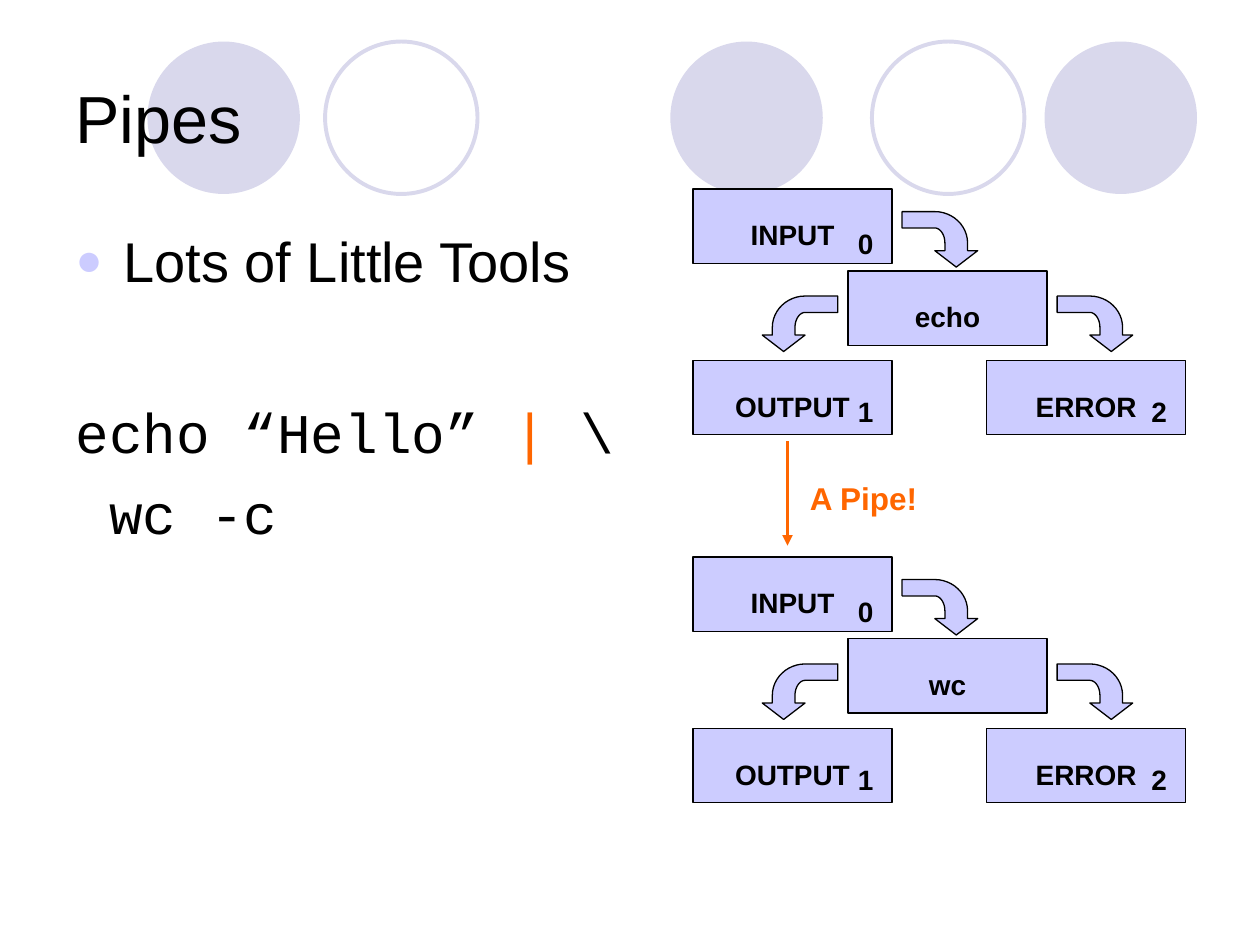
from dataclasses import dataclass

import lxml.etree
import pptx
import pptx.dml.color
import pptx.enum.shapes
import pptx.enum.text
import pptx.oxml
import pptx.oxml.ns
import pptx.util
from pptx.util import Inches

MSO_SHAPE = pptx.enum.shapes.MSO_SHAPE
PP_ALIGN = pptx.enum.text.PP_ALIGN
qn = pptx.oxml.ns.qn
LILAC, PALE, ORANGE, BLACK = "CCCCFF", "D9D8EC", "FF6600", "000000"
BOX_W, BOX_H = 1.58, 0.59
STAGE_STEP = 2.92


@dataclass
class Circle:
    x: float
    filled: bool


@dataclass
class Box:
    text: str
    x: float
    y: float
    number: str = ""
    number_dy: float = 0.22


@dataclass
class Bend:
    x: float
    y: float
    direction: int = 1


CIRCLES = [Circle(5.32, True), Circle(8.29, True), Circle(1.17, True),
           Circle(6.92, False), Circle(2.58, False)]
BENDS = [Bend(7.16, 1.68), Bend(8.39, 2.35), Bend(6.65, 2.35, -1)]


def rgb(color: str) -> pptx.dml.color.RGBColor:
    return pptx.dml.color.RGBColor.from_string(color)


def style(sp, fill: str | None, line: str | None, width: float = 0.75) -> None:
    sp.shadow.inherit = False
    if fill:
        sp.fill.solid()
        sp.fill.fore_color.rgb = rgb(fill)
    else:
        sp.fill.background()
    if line:
        sp.line.color.rgb = rgb(line)
        sp.line.width = pptx.util.Pt(width)
    else:
        sp.line.fill.background()


def set_font(font, size: float, color: str = BLACK, name: str = "Arial", bold: bool = False) -> None:
    font.name = name
    font.size = pptx.util.Pt(size)
    font.bold = bold
    font.color.rgb = rgb(color)


def add_circle(s, circle: Circle) -> None:
    sp = s.shapes.add_shape(MSO_SHAPE.OVAL, Inches(circle.x), Inches(0.33), Inches(1.21), Inches(1.21))
    style(sp, PALE if circle.filled else None, None if circle.filled else PALE, 2.25)


def add_label(s, text: str, x: float, y: float, w: float, size: float = 16,
              color: str = BLACK, align=PP_ALIGN.CENTER) -> None:
    tf = s.shapes.add_textbox(Inches(x), Inches(y), Inches(w), Inches(size * 0.023)).text_frame
    tf.word_wrap = True
    tf.auto_size = pptx.enum.text.MSO_AUTO_SIZE.SHAPE_TO_FIT_TEXT
    p = tf.paragraphs[0]
    p.text = text
    p.alignment = align
    p.space_before = pptx.util.Pt(size * 0.625)
    set_font(p.font, size, color, bold=True)


def add_box(s, box: Box, dy: float) -> None:
    y = box.y + dy
    sp = s.shapes.add_shape(MSO_SHAPE.RECTANGLE, Inches(box.x), Inches(y), Inches(BOX_W), Inches(BOX_H))
    style(sp, LILAC, BLACK)
    add_label(s, box.text, box.x, y + 0.18, BOX_W)
    if box.number:
        add_label(s, box.number, box.x + 1.17, y + box.number_dy, 0.4)


def curve(a, b, c, d, steps: int = 12) -> list[tuple[float, float]]:
    points = []
    for i in range(steps + 1):
        t = i / steps
        u = 1 - t
        points.append(tuple(u**3 * a[k] + 3 * u * u * t * b[k] + 3 * u * t * t * c[k] + t**3 * d[k]
                            for k in (0, 1)))
    return points


def add_bend(s, bend: Bend, dy: float) -> None:
    outline = [(0, 0), *curve((0.26, 0), (0.4, 0), (0.52, 0.11), (0.52, 0.25)),
               (0.52, 0.31), (0.6, 0.31), (0.43, 0.44), (0.26, 0.31), (0.34, 0.31),
               *curve((0.34, 0.25), (0.34, 0.18), (0.3, 0.13), (0.26, 0.13)), (0, 0.13)]
    points = [(Inches(bend.x + bend.direction * px), Inches(bend.y + dy + py)) for px, py in outline]
    builder = s.shapes.build_freeform(*points[0])
    builder.add_line_segments(points[1:], close=True)
    style(builder.convert_to_shape(), LILAC, BLACK)


def add_stage(s, command: str, dy: float) -> None:
    for box in [Box("INPUT", 5.5, 1.5, "0", 0.25), Box(command, 6.73, 2.15),
                Box("OUTPUT", 5.5, 2.86, "1"), Box("ERROR", 7.83, 2.86, "2")]:
        add_box(s, box, dy)
    for bend in BENDS:
        add_bend(s, bend, dy)


def add_pipe(s) -> None:
    line = s.shapes.add_connector(pptx.enum.shapes.MSO_CONNECTOR.STRAIGHT,
                                  Inches(6.25), Inches(3.5), Inches(6.25), Inches(4.33))
    line.line.color.rgb = rgb(ORANGE)
    line.line.width = pptx.util.Pt(2)
    lxml.etree.SubElement(line.line._get_or_add_ln(), qn("a:tailEnd"), type="triangle")
    lxml.etree.SubElement(line._element.spPr, qn("a:effectLst"))
    add_label(s, "A Pipe!", 6.33, 3.75, 2.83, 18, ORANGE, PP_ALIGN.LEFT)


def place(s, sp, y: float, h: float):
    sp.left, sp.top, sp.width, sp.height = Inches(0.5), Inches(y), Inches(9), Inches(h)
    s.shapes._spTree.append(sp._element)
    sp.text_frame.auto_size = pptx.enum.text.MSO_AUTO_SIZE.NONE
    return sp.text_frame


def fill_title(s) -> None:
    tf = place(s, s.shapes.title, 0.3, 1.25)
    tf.vertical_anchor = pptx.enum.text.MSO_ANCHOR.MIDDLE
    p = tf.paragraphs[0]
    p.text = "Pipes"
    p.alignment = PP_ALIGN.LEFT
    set_font(p.font, 38)


def fill_body(s) -> None:
    tf = place(s, s.placeholders[1], 1.75, 4.95)
    lines = [(["Lots of Little Tools"], "Arial", 8),
             (["echo “Hello” ", "|", " \\"], "Courier New", 59),
             ([" wc -c"], "Courier New", 8)]
    for i, (runs, name, before) in enumerate(lines):
        p = tf.add_paragraph() if i else tf.paragraphs[0]
        p.space_before = pptx.util.Pt(before)
        set_font(p.font, 32, name=name)
        for text in runs:
            r = p.add_run()
            r.text = text
            if text == "|":
                r.font.color.rgb = rgb(ORANGE)
        pPr = p._p.get_or_add_pPr()
        pPr.set("marL", str(Inches(0.38)))
        pPr.set("indent", str(Inches(-0.38)))
        bullet = ('<a:buClr><a:srgbClr val="CCCCFF"/></a:buClr><a:buSzPct val="80000"/>'
                  '<a:buChar char="●"/>') if i == 0 else "<a:buNone/>"
        fragment = pptx.oxml.parse_xml(f'<a:pPr {pptx.oxml.ns.nsdecls("a")}>{bullet}</a:pPr>')
        for child in list(fragment):
            pPr.find(qn("a:defRPr")).addprevious(child)


def main() -> None:
    prs = pptx.Presentation()
    prs.slide_width, prs.slide_height = Inches(10), Inches(7.5)
    s = prs.slides.add_slide(prs.slide_layouts[1])
    for circle in CIRCLES:
        add_circle(s, circle)
    fill_title(s)
    fill_body(s)
    for i, command in enumerate(["echo", "wc"]):
        add_stage(s, command, i * STAGE_STEP)
    add_pipe(s)
    prs.save("out.pptx")


if __name__ == "__main__":
    main()
